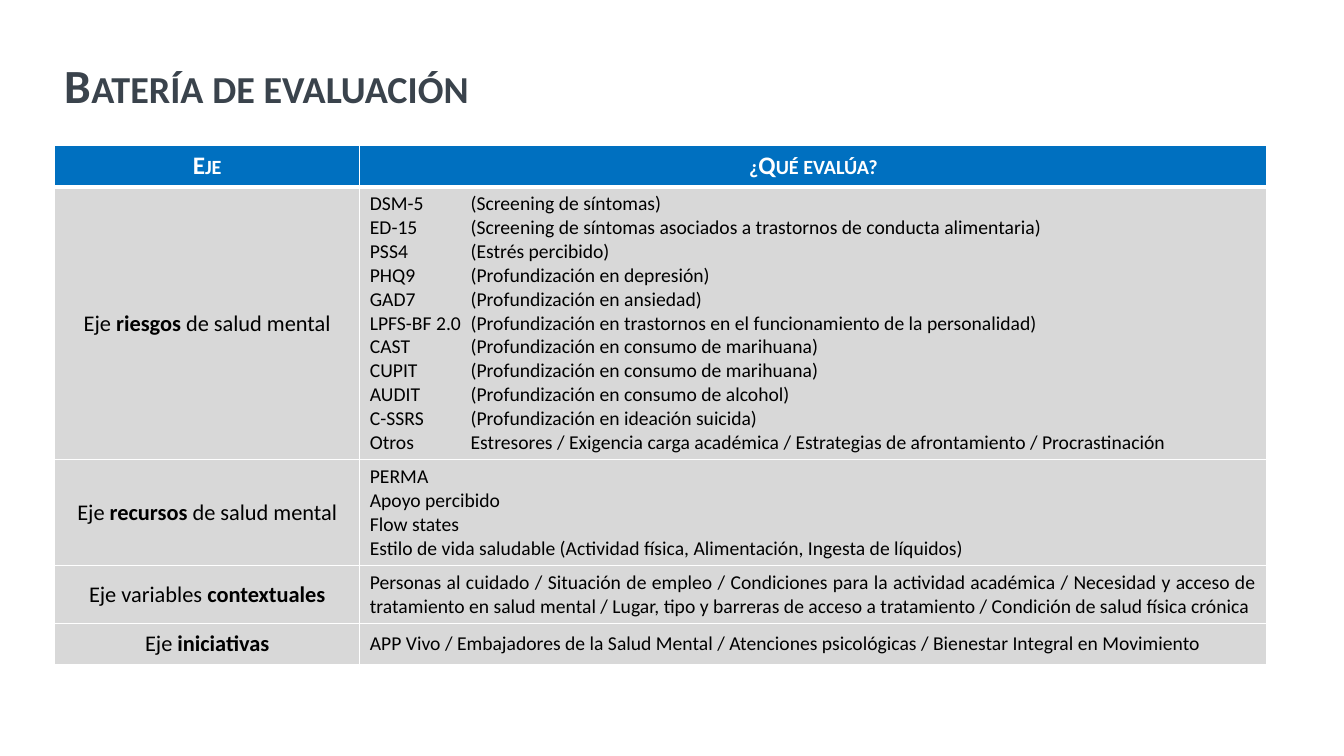
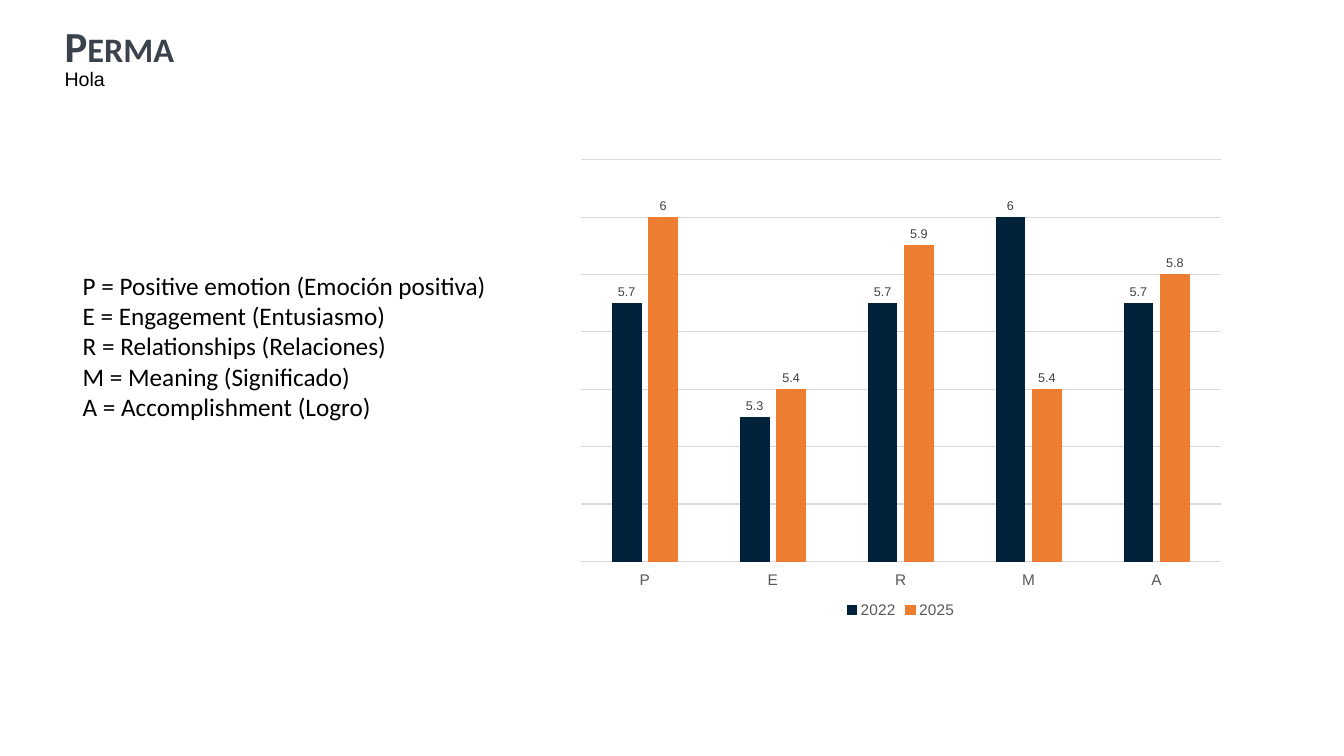
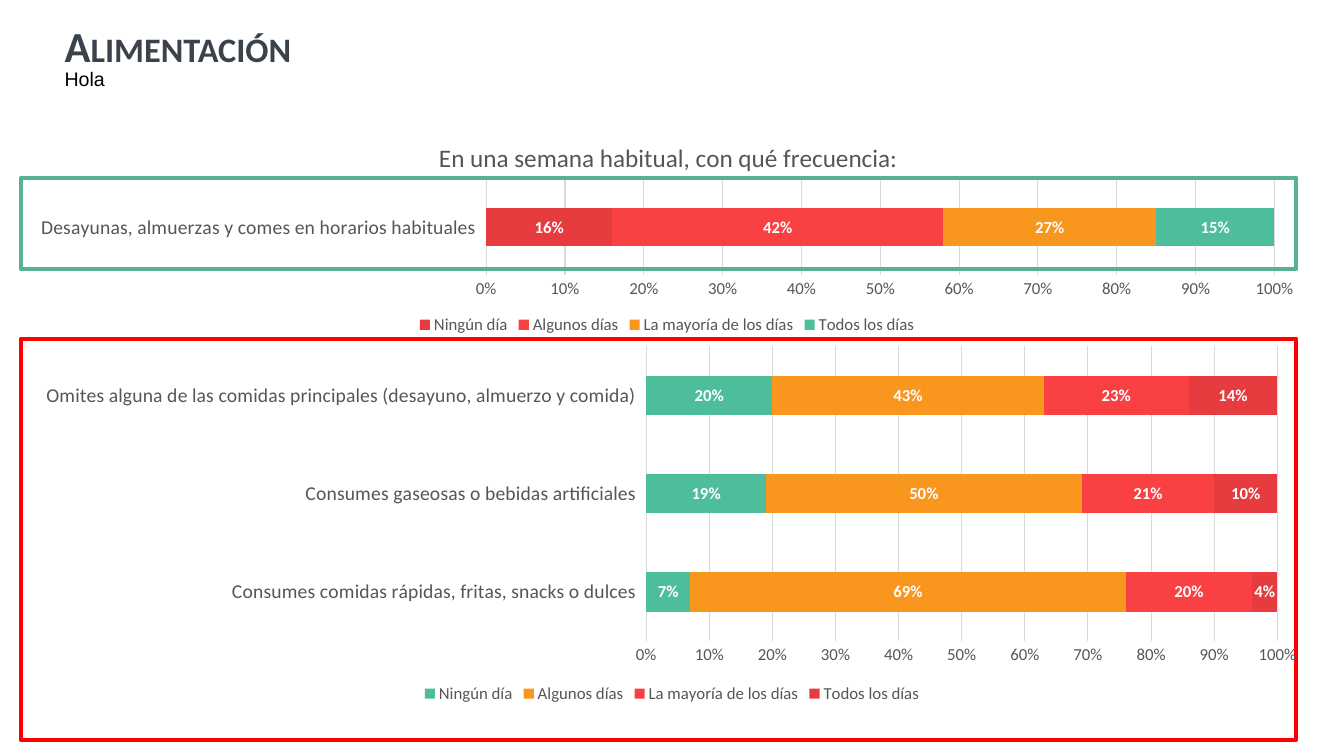
from dataclasses import dataclass

from lxml.etree import SubElement
from pptx import Presentation
from pptx.chart.data import CategoryChartData
from pptx.dml.color import RGBColor
from pptx.enum.chart import (XL_CHART_TYPE, XL_LABEL_POSITION, XL_LEGEND_POSITION,
                             XL_TICK_LABEL_POSITION, XL_TICK_MARK)
from pptx.enum.shapes import MSO_SHAPE
from pptx.enum.text import MSO_ANCHOR, MSO_AUTO_SIZE, PP_ALIGN
from pptx.oxml.ns import qn
from pptx.util import Pt


@dataclass(frozen=True)
class Theme:
    """Colours, fonts and type sizes of the deck."""
    sans: str = "Calibri"
    alt: str = "Arial"
    slate: str = "3A434C"
    black: str = "000000"
    white: str = "FFFFFF"
    blue: str = "0070C0"
    cell: str = "D8D8D8"
    rule: str = "D9D9D9"
    gray: str = "56565A"
    axis: str = "595959"
    label: str = "404040"
    navy: str = "00223A"
    orange: str = "ED7D31"
    crimson: str = "E63C3F"
    coral: str = "F94144"
    amber: str = "F8961E"
    mint: str = "4DBD9B"
    green: str = "55B296"
    red: str = "FF0000"
    big: float = 34
    title: float = 30.6
    lead: float = 18
    name: float = 16
    body: float = 14
    note: float = 12
    tick: float = 11
    tiny: float = 9


T = Theme()
DAYS = ("Ningún día", "Algunos días", "La mayoría de los días", "Todos los días")
HEAT = (T.crimson, T.coral, T.amber, T.mint)
AXES = (
    (("Eje ", "riesgos", " de salud mental"), 195, (
        "DSM-5\t(Screening de síntomas)",
        "ED-15\t(Screening de síntomas asociados a trastornos de conducta alimentaria)",
        "PSS4\t(Estrés percibido)",
        "PHQ9\t(Profundización en depresión)",
        "GAD7\t(Profundización en ansiedad)",
        "LPFS-BF 2.0\t(Profundización en trastornos en el funcionamiento de la personalidad)",
        "CAST\t(Profundización en consumo de marihuana)",
        "CUPIT\t(Profundización en consumo de marihuana)",
        "AUDIT\t(Profundización en consumo de alcohol)",
        "C-SSRS\t(Profundización en ideación suicida)",
        "Otros\tEstresores / Exigencia carga académica / Estrategias de afrontamiento"
        " / Procrastinación")),
    (("Eje ", "recursos", " de salud mental"), 75.5, (
        "PERMA", "Apoyo percibido", "Flow states",
        "Estilo de vida saludable (Actividad física, Alimentación, Ingesta de líquidos)")),
    (("Eje variables ", "contextuales"), 41.5, (
        "Personas al cuidado / Situación de empleo / Condiciones para la actividad académica"
        " / Necesidad y acceso de tratamiento en salud mental / Lugar, tipo y barreras de"
        " acceso a tratamiento / Condición de salud física crónica",)),
    (("Eje ", "iniciativas"), 29, (
        "APP Vivo / Embajadores de la Salud Mental / Atenciones psicológicas"
        " / Bienestar Integral en Movimiento",)),
)


def rgb(hue):
    """Turn a hex string into a colour."""
    return RGBColor.from_string(hue)


def pts(*nums):
    """Turn numbers into point lengths."""
    return [Pt(num) for num in nums]


def style(font, size, hue, face=T.sans, bold=False):
    """Set the look of a font."""
    font.size, font.name, font.bold = Pt(size), face, bold
    font.color.rgb = rgb(hue)


def stroke(line, hue, width=0.75):
    """Set the colour and width of a line."""
    line.color.rgb, line.width = rgb(hue), Pt(width)


def caps(par):
    """Show a paragraph in small capitals."""
    par.font.element if hasattr(par.font, "element") else None
    par._p.get_or_add_pPr().find(qn("a:defRPr")).set("cap", "small")


def write(frame, lines, size, hue, face=T.sans, bold=False, align=PP_ALIGN.LEFT, tab=None):
    """Fill a text frame with lines; the second part of a split line is bold."""
    for num, line in enumerate(lines):
        par = frame.add_paragraph() if num else frame.paragraphs[0]
        par.alignment = align
        if tab:
            stops = SubElement(par._p.get_or_add_pPr(), qn("a:tabLst"))
            SubElement(stops, qn("a:tab"), pos=str(Pt(tab)), algn="l")
        style(par.font, size, hue, face, bold)
        parts = (line,) if isinstance(line, str) else line
        for spot, part in enumerate(parts):
            run = par.add_run()
            run.text = part
            if spot == 1:
                run.font.bold = True


def head(deck, text, box, size, sub=None):
    """Add a slide with its title and an optional line below it."""
    slide = deck.slides.add_slide(deck.slide_layouts[5])
    title = slide.shapes.title
    title.left, title.top, title.width, title.height = pts(*box)
    frame = title.text_frame
    frame.auto_size, frame.word_wrap = MSO_AUTO_SIZE.NONE, True
    frame.vertical_anchor = MSO_ANCHOR.TOP if sub else MSO_ANCHOR.MIDDLE
    write(frame, [text], size, T.slate, bold=True)
    frame.paragraphs[0].line_spacing = 0.9
    caps(frame.paragraphs[0])
    if sub:
        frame.margin_top = 0
        note(slide, (box[0], box[1] + 26, 818, 24.5), [sub], T.body, T.alt)
    return slide


def note(slide, box, lines, size, face=T.sans):
    """Add a plain text box."""
    frame = slide.shapes.add_textbox(*pts(*box)).text_frame
    frame.word_wrap = True
    write(frame, lines, size, T.black, face)


def edge(cell, top=1, base=1):
    """Draw white borders around a cell."""
    props = cell._tc.get_or_add_tcPr()
    for spot, (side, width) in enumerate(zip("LRTB", (1, 1, top, base))):
        line = SubElement(props, qn("a:ln" + side), w=str(Pt(width)))
        fill = SubElement(line, qn("a:solidFill"))
        SubElement(fill, qn("a:srgbClr"), val=T.white)
        props.insert(spot, line)


def paint(cell, hue, top=1, base=1):
    """Fill a cell and draw its borders."""
    cell.fill.solid()
    cell.fill.fore_color.rgb = rgb(hue)
    edge(cell, top, base)


def grid(slide, box):
    """Add the table of axes and what each one measures."""
    left, top, width, high = box
    table = slide.shapes.add_table(len(AXES) + 1, 2, *pts(*box)).table
    for col, share in zip(table.columns, (0.252, 0.748)):
        col.width = Pt(round(width * share))
    table.rows[0].height = Pt(29.5)
    for spot, text in enumerate(("Eje", "¿Qué evalúa?")):
        cell = table.cell(0, spot)
        paint(cell, T.blue, base=3)
        write(cell.text_frame, [text], T.lead, T.white, bold=True, align=PP_ALIGN.CENTER)
        caps(cell.text_frame.paragraphs[0])
    for row, (name, tall, lines) in enumerate(AXES, 1):
        table.rows[row].height = Pt(tall)
        pair = table.cell(row, 0), table.cell(row, 1)
        for cell in pair:
            paint(cell, T.cell, top=3 if row == 1 else 1)
            cell.vertical_anchor = MSO_ANCHOR.MIDDLE
        write(pair[0].text_frame, [name], T.name, T.black, align=PP_ALIGN.CENTER)
        write(pair[1].text_frame, lines, T.body, T.black, align=PP_ALIGN.JUSTIFY, tab=72)


def place(node, spot, inner=False):
    """Fix the layout of a chart part as shares of the chart."""
    lay = node.find(qn("c:layout"))
    if lay is None:
        lay = SubElement(node, qn("c:layout"))
        node.insert(0, lay)
    for child in list(lay):
        lay.remove(child)
    hand = SubElement(lay, qn("c:manualLayout"))
    if inner:
        SubElement(hand, qn("c:layoutTarget"), val="inner")
    for key in ("xMode", "yMode"):
        SubElement(hand, qn("c:" + key), val="edge")
    for key, num in zip("xywh", spot):
        SubElement(hand, qn("c:" + key), val=str(num))


def plot(slide, box, kind, cats, rows, hues, area, face, ink, sizes, form):
    """Add a bar chart with legend, grid and labelled categories."""
    data = CategoryChartData(number_format=form)
    data.categories = cats
    for name, vals in rows:
        data.add_series(name, vals)
    chart = slide.shapes.add_chart(kind, *pts(*box), data).chart
    word, tick = sizes
    style(chart.font, tick, ink, face)
    chart.has_title = False
    chart.has_legend = True
    chart.legend.position = XL_LEGEND_POSITION.BOTTOM
    chart.legend.include_in_layout = False
    style(chart.legend.font, tick, ink, face)
    place(chart.element.find(".//" + qn("c:plotArea")), area, True)
    cat, val = chart.category_axis, chart.value_axis
    cat.major_tick_mark = val.major_tick_mark = XL_TICK_MARK.NONE
    cat.tick_label_position = XL_TICK_LABEL_POSITION.LOW
    style(cat.tick_labels.font, word, ink, face)
    stroke(cat.format.line, T.rule)
    val.has_major_gridlines = True
    stroke(val.major_gridlines.format.line, T.rule)
    bars = chart.plots[0]
    bars.vary_by_categories = False
    bars.has_data_labels = True
    bars.data_labels.show_value = True
    bars.data_labels.number_format = form
    bars.data_labels.number_format_is_linked = False
    for item, hue in zip(bars.series, hues):
        item.format.fill.solid()
        item.format.fill.fore_color.rgb = rgb(hue)
    return chart


def perma(slide, box):
    """Add the key of the five letters and the column chart."""
    left, top, width, high = box
    note(slide, (left, top + 82, 353.5, 116.5), (
        "P = Positive emotion (Emoción positiva)", "E = Engagement (Entusiasmo)",
        "R = Relationships (Relaciones)", "M = Meaning (Significado)",
        "A = Accomplishment (Logro)"), T.lead)
    rows = ("2022", (5.7, 5.3, 5.7, 6, 5.7)), ("2025", (6, 5.4, 5.9, 5.4, 5.8))
    hues = T.navy, T.orange
    chart = plot(slide, (left + 353.5, top, width - 353.5, high),
                 XL_CHART_TYPE.COLUMN_CLUSTERED, "PERMA", rows, hues,
                 (0.02, 0.02, 0.96, 0.85), T.alt, T.axis, (T.tick, T.tick), "General")
    val, bars = chart.value_axis, chart.plots[0]
    val.minimum_scale, val.maximum_scale, val.major_unit = 4.8, 6.2, 0.2
    val.visible = False
    bars.gap_width, bars.overlap = 219, -27
    bars.data_labels.position = XL_LABEL_POSITION.OUTSIDE_END
    style(bars.data_labels.font, T.tiny, T.label, T.alt)
    for item, hue in zip(bars.series, hues):
        stroke(item.format.line, hue)


def share(slide, box, cats, vals, hues, area):
    """Add a stacked bar chart of percentages."""
    chart = plot(slide, box, XL_CHART_TYPE.BAR_STACKED_100, cats, zip(DAYS, vals), hues,
                 area, T.sans, T.gray, (T.body, T.note), "0%")
    val, bars = chart.value_axis, chart.plots[0]
    val.minimum_scale, val.maximum_scale, val.major_unit = 0, 1, 0.1
    val.tick_labels.number_format = "0%"
    val.tick_labels.number_format_is_linked = False
    style(val.tick_labels.font, T.note, T.gray)
    val.format.line.fill.background()
    bars.gap_width, bars.overlap = 150, 100
    bars.data_labels.position = XL_LABEL_POSITION.CENTER
    style(bars.data_labels.font, T.note, T.white, bold=True)
    return chart


def ring(slide, box, hue):
    """Add an unfilled frame."""
    shape = slide.shapes.add_shape(MSO_SHAPE.RECTANGLE, *pts(*box))
    shape.shadow.inherit = False
    shape.fill.background()
    stroke(shape.line, hue, 3)


def food(slide, box):
    """Add the two framed charts on eating habits."""
    left, top, width, high = box
    cut = top + 157.5
    chart = share(slide, (left, top, width, 157.5),
                  ("Desayunas, almuerzas y comes en horarios habituales",),
                  ((0.16,), (0.42,), (0.27,), (0.15,)), HEAT, (0.36, 0.28, 0.61, 0.43))
    chart.has_title = True
    write(chart.chart_title.text_frame, ["En una semana habitual, con qué frecuencia:"],
          T.lead, T.gray, align=PP_ALIGN.CENTER)
    place(chart.chart_title.element if hasattr(chart.chart_title, "element")
          else chart.element.find(".//" + qn("c:title")), (0.32, 0.08))
    ring(slide, (left, top + 42.5, width - 12, 65), T.green)
    ring(slide, (left, cut, width - 12, high - 157.5), T.red)
    share(slide, (left + 5, cut, width - 3, 263.5),
          ("Consumes comidas rápidas, fritas, snacks o dulces",
           "Consumes gaseosas o bebidas artificiales",
           "Omites alguna de las comidas principales (desayuno, almuerzo y comida)"),
          ((0.07, 0.19, 0.2), (0.69, 0.5, 0.43), (0.2, 0.21, 0.23), (0.04, 0.1, 0.14)),
          HEAT[::-1], (0.48, 0.02, 0.49, 0.8))


def main():
    """Build the deck and save it."""
    deck = Presentation()
    deck.slide_width, deck.slide_height = pts(960, 540)
    grid(head(deck, "Batería de evaluación", (39, 29, 916.5, 67.5), T.big),
         (39, 104, 866, 370.5))
    bar = 39, 18, 916.5, 67.5
    perma(head(deck, "Perma", bar, T.title, "Hola"), (52, 107.5, 829.5, 337.5))
    food(head(deck, "Alimentación", bar, T.title, "Hola"), (15, 84.5, 923, 444))
    deck.save("out.pptx")


if __name__ == "__main__":
    main()
